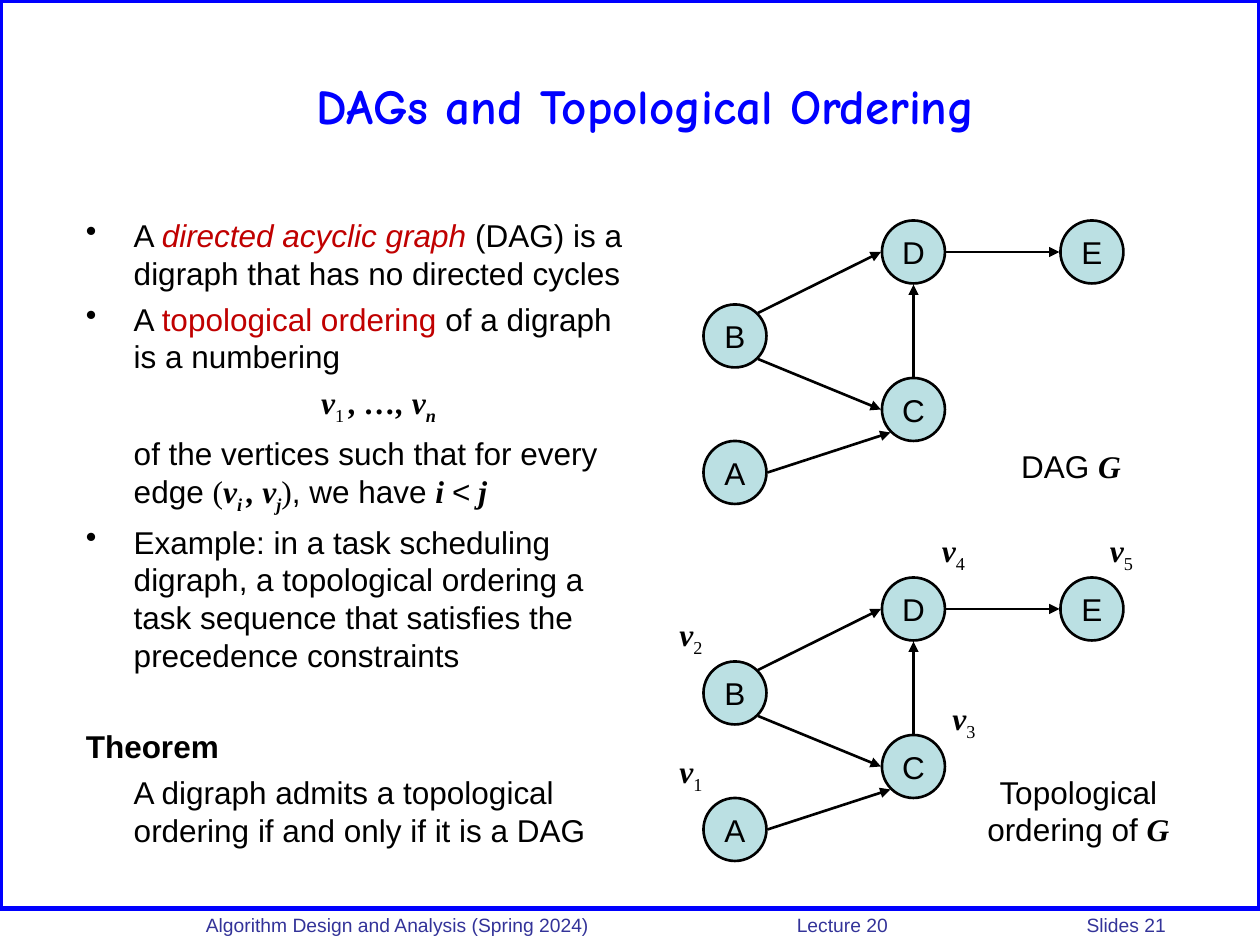
import math
import pptx
import pptx.util
import pptx.dml.color
import pptx.enum.shapes
import pptx.enum.text
import pptx.oxml.xmlchemy
import lxml.etree

Pt = pptx.util.Pt
RGB = pptx.dml.color.RGBColor
KIND = pptx.enum.shapes.MSO_SHAPE
LINK = pptx.enum.shapes.MSO_CONNECTOR
ALIGN = pptx.enum.text.PP_ALIGN
ANCHOR = pptx.enum.text.MSO_ANCHOR
NS = "{http://schemas.openxmlformats.org/drawingml/2006/main}"

BLACK = RGB(0, 0, 0)
BLUE = RGB(0, 0, 255)
NAVY = RGB(0x33, 0x33, 0x99)
RED = RGB(0xC0, 0, 0)
TEAL = RGB(0xBB, 0xE0, 0xE3)
GRID = 12
DENT = 0.38

# Run flags: t serif, b bold, i italic, s subscript, r red
TITLE = "DAGs and Topological Ordering"
FOOT = ["Algorithm Design and Analysis (Spring 2024)", "Lecture 20", "Slides 21"]
STOPS = [4.69, 6.99]
BODY = [
    ("bullet", 0, [("A ", ""), ("directed acyclic graph ", "ir"),
                   ("(DAG) is a digraph that has no directed cycles", "")]),
    ("bullet", 4.5, [("A ", ""), ("topological ordering ", "r"),
                     ("of a digraph is a numbering", "")]),
    ("center", 4.5, [("v", "tbi"), ("1 ", "ts"), (", …, v", "tbi"), ("n ", "tbis")]),
    ("indent", 4.5, [("of the vertices such that for every edge ", ""), ("(", "t"),
                     ("v", "tbi"), ("i ", "tbis"), (", v", "tbi"), ("j", "tbis"),
                     (")", "t"), (", we have ", ""), ("i ", "tbi"), ("<", ""),
                     (" j", "tbi")]),
    ("bullet", 4.5, [("Example: in a task scheduling digraph, a topological ordering "
                      "a task sequence that satisfies the precedence constraints", "")]),
    ("plain", 30.5, [("Theorem", "b")]),
    ("indent", 4.5, [("A digraph admits a topological ordering if and only if "
                      "it is a DAG", "")]),
]
NODES = {"B": (70, 32), "A": (70, 45), "D": (87, 24), "C": (87, 39), "E": (104, 24)}
EDGES = [("B", -45, "D", 180), ("B", 45, "C", 180), ("D", 0, "E", 180),
         ("C", -90, "D", 90), ("A", 0, "C", 135)]
DROPS = [0, 34]
NAMES = [
    ((96, 42, 12, 4.8), False, [("DAG ", ""), ("G", "tbi")]),
    ((89, 73, 27.4, 8.4), True, [("Topological ordering of ", ""), ("G", "tbi")]),
]
MARKS = {"1": (63.5, 71), "2": (63.5, 58), "3": (89.5, 66),
         "4": (88.5, 50), "5": (104.5, 50)}


def unit(*nums):
    return [pptx.util.Inches(num / GRID) for num in nums]


def add_run(para, text, flags="", size=18, face="Arial", color=BLACK):
    run = para.add_run()
    run.text = text
    font = run.font
    font.size = Pt(size)
    font.name = "Times New Roman" if "t" in flags else face
    font.bold = "b" in flags
    font.italic = "i" in flags
    font.color.rgb = RED if "r" in flags else color
    if "s" in flags:
        run._r.get_or_add_rPr().set("baseline", "-25000")


def add_box(slide, place, wrap=True):
    frame = slide.shapes.add_textbox(*unit(*place)).text_frame
    frame.word_wrap = wrap
    return frame


def add_label(slide, place, wrap, runs):
    para = add_box(slide, place, wrap).paragraphs[0]
    para.alignment = ALIGN.CENTER
    for text, flags in runs:
        add_run(para, text, flags)


def add_body(slide):
    frame = add_box(slide, (7, 20, 54, 62))
    for row, (kind, gap, runs) in enumerate(BODY):
        para = frame.add_paragraph() if row else frame.paragraphs[0]
        props = para._p.get_or_add_pPr()
        dent = pptx.util.Inches(DENT)
        if kind != "plain":
            props.set("marL", str(dent))
        if kind == "bullet":
            props.set("indent", str(-dent))
            lxml.etree.SubElement(props, NS + "buChar", char="•")
        if kind == "center":
            para.alignment = ALIGN.CENTER
        if gap:
            para.space_before = Pt(gap)
        for text, flags in runs:
            add_run(para, text, flags)


def add_foot(slide):
    frame = add_box(slide, (16, 86.4, 104, 3.1))
    frame.margin_left = pptx.util.Inches(0.3)
    para = frame.paragraphs[0]
    tabs = lxml.etree.SubElement(para._p.get_or_add_pPr(), NS + "tabLst")
    for stop in STOPS:
        lxml.etree.SubElement(tabs, NS + "tab", pos=str(pptx.util.Inches(stop)), algn="l")
    add_run(para, "\t".join(FOOT), size=11, color=NAVY)


def add_node(slide, name, x, y):
    node = slide.shapes.add_shape(KIND.OVAL, *unit(x - 3, y - 3, 6, 6))
    node.shadow.inherit = False
    node.fill.solid()
    node.fill.fore_color.rgb = TEAL
    node.line.color.rgb = BLACK
    node.line.width = Pt(1.5)
    frame = node.text_frame
    frame.word_wrap = False
    frame.vertical_anchor = ANCHOR.MIDDLE
    para = frame.paragraphs[0]
    para.alignment = ALIGN.CENTER
    add_run(para, name)


def rim(name, angle, drop):
    x, y = NODES[name]
    turn = math.radians(angle)
    return x + 3.1 * math.cos(turn), y + drop + 3.1 * math.sin(turn)


def add_edge(slide, start, end):
    edge = slide.shapes.add_connector(LINK.STRAIGHT, *unit(*start, *end))
    edge.line.color.rgb = BLACK
    edge.line.width = Pt(1.5)
    lxml.etree.SubElement(edge.line._get_or_add_ln(), NS + "tailEnd", type="triangle")
    lxml.etree.SubElement(edge._element.spPr, NS + "effectLst")


def main():
    deck = pptx.Presentation()
    deck.slide_width, deck.slide_height = unit(120, 90)
    slide = deck.slides.add_slide(deck.slide_layouts[6])

    edge = slide.shapes.add_shape(KIND.RECTANGLE, *unit(0, 0, 120, 86.5))
    edge.shadow.inherit = False
    edge.fill.background()
    edge.line.color.rgb = BLUE
    edge.line.width = Pt(3)
    add_foot(slide)

    head = add_box(slide, (8, 4, 107, 12))
    head.vertical_anchor = ANCHOR.MIDDLE
    head.paragraphs[0].alignment = ALIGN.CENTER
    add_run(head.paragraphs[0], TITLE, "b", 28, "Comic Neue", BLUE)
    add_body(slide)

    for drop in DROPS:
        for name, (x, y) in NODES.items():
            add_node(slide, name, x, y + drop)
        for tail, out, tip, back in EDGES:
            add_edge(slide, rim(tail, out, drop), rim(tip, back, drop))
    for place, wrap, runs in NAMES:
        add_label(slide, place, wrap, runs)
    for num, (x, y) in MARKS.items():
        add_label(slide, (x, y, 4.6, 5.3), False, [("v", "tbi"), (num, "ts")])
    deck.save("out.pptx")


if __name__ == "__main__":
    main()
